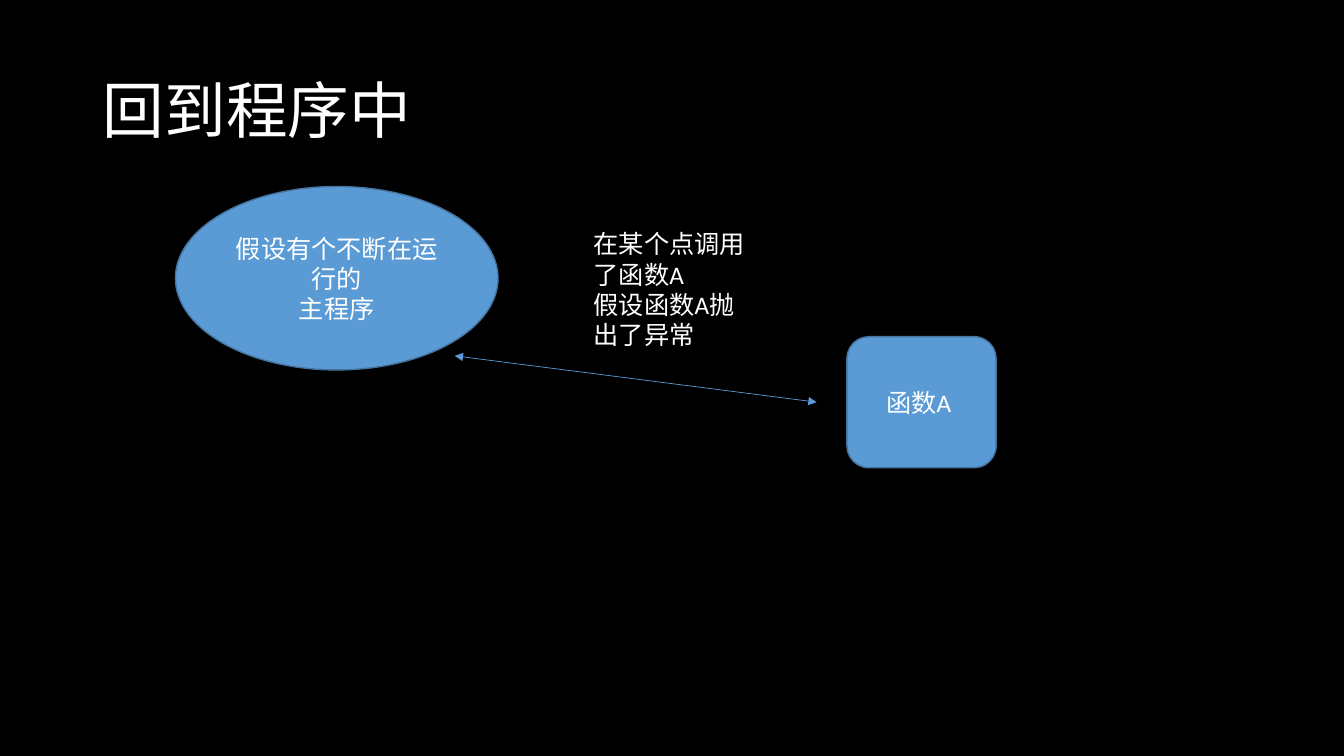
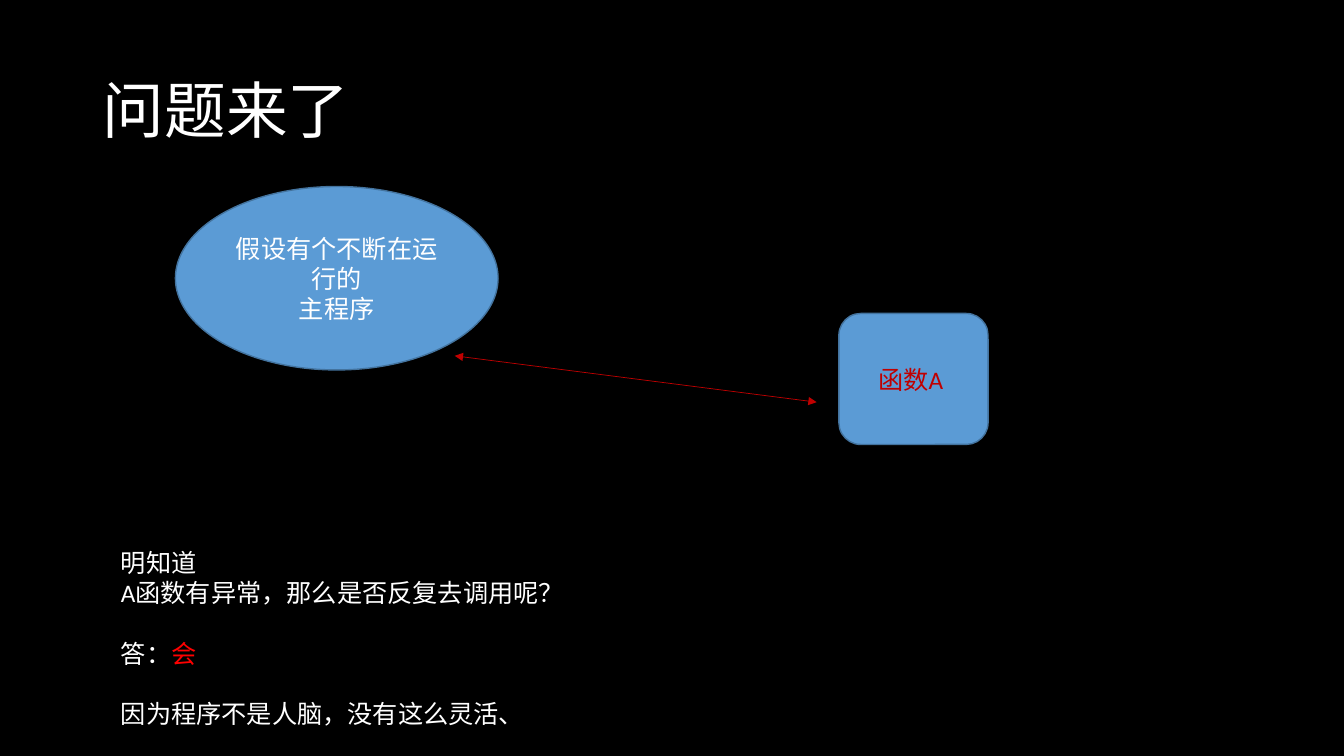
"""Build two slides about a main program calling a function that throws."""
from dataclasses import dataclass

from lxml.etree import SubElement
from pptx import Presentation
from pptx.dml.color import RGBColor
from pptx.enum.shapes import MSO_CONNECTOR as CONNECTOR, MSO_SHAPE as SHAPE
from pptx.enum.text import MSO_ANCHOR as ANCHOR, MSO_AUTO_SIZE as AUTO_SIZE, PP_ALIGN as ALIGN
from pptx.oxml.ns import qn
from pptx.util import Inches, Pt


@dataclass(frozen=True)
class Theme:
    background: RGBColor = RGBColor(0x00, 0x00, 0x00)
    text: RGBColor = RGBColor(0xFF, 0xFF, 0xFF)
    fill: RGBColor = RGBColor(0x5B, 0x9B, 0xD5)
    outline: RGBColor = RGBColor(0x43, 0x73, 0x9E)
    warning: RGBColor = RGBColor(0xC0, 0x00, 0x00)
    answer: RGBColor = RGBColor(0xFF, 0x00, 0x00)
    font: str = "Calibri"
    title_size: Pt = Pt(44)
    body_size: Pt = Pt(18)
    section_gap: Pt = Pt(21.6)


theme = Theme()


def write(shape, text, color=theme.text, size=theme.body_size, align=ALIGN.LEFT):
    shape.text_frame.word_wrap = True
    shape.text_frame.text = text
    for paragraph in shape.text_frame.paragraphs:
        paragraph.alignment = align
        for run in paragraph.runs:
            run.font.name = theme.font
            run.font.size = size
            run.font.color.rgb = color


def add_node(slide, kind, box, text, color=theme.text):
    shape = slide.shapes.add_shape(kind, *map(Inches, box))
    shape.shadow.inherit = False
    shape.fill.solid()
    shape.fill.fore_color.rgb = theme.fill
    shape.line.color.rgb = theme.outline
    shape.line.width = Pt(1)
    shape.text_frame.vertical_anchor = ANCHOR.MIDDLE
    write(shape, text, color, align=ALIGN.CENTER)


presentation = Presentation()
presentation.slide_width = Inches(13.33)
presentation.slide_height = Inches(7.5)
background = presentation.slide_master.background.fill
background.solid()
background.fore_color.rgb = theme.background
title_layout = presentation.slide_layouts.get_by_name("Title Only")

pages = [
    {
        "title": "回到程序中",
        "function_at": (8.4, 3.34),
        "function_color": theme.text,
        "arrow_color": theme.fill,
        "note_box": (5.79, 2.22, 1.77, 1.31),
        "note": "在某个点调用了函数A\n假设函数A抛出了异常",
    },
    {
        "title": "问题来了",
        "function_at": (8.32, 3.11),
        "function_color": theme.warning,
        "arrow_color": theme.warning,
        "note_box": (1.1, 5.38, 6.59, 1.92),
        "note": "明知道\nA函数有异常，那么是否反复去调用呢？\n答：\n因为程序不是人脑，没有这么灵活、",
    },
]

for page in pages:
    slide = presentation.slides.add_slide(title_layout)
    title = slide.shapes.title
    title.left, title.top, title.width, title.height = map(Inches, (0.92, 0.4, 11.5, 1.45))
    title.text_frame.vertical_anchor = ANCHOR.MIDDLE
    write(title, page["title"], size=theme.title_size)
    title.text_frame.paragraphs[0].line_spacing = 0.9

    add_node(slide, SHAPE.OVAL, (1.74, 1.85, 3.2, 1.82), "假设有个不断在运行的\n主程序")
    add_node(slide, SHAPE.ROUNDED_RECTANGLE, (*page["function_at"], 1.48, 1.3),
             "函数A ", page["function_color"])

    arrow = slide.shapes.add_connector(
        CONNECTOR.STRAIGHT, *map(Inches, (4.51, 3.53, 8.1, 3.99)))
    arrow.line.color.rgb = page["arrow_color"]
    arrow.line.width = Pt(0.5)
    line_properties = arrow.line._get_or_add_ln()
    for end in ("a:headEnd", "a:tailEnd"):
        SubElement(line_properties, qn(end), type="triangle")
    SubElement(arrow._element.spPr, qn("a:effectLst"))

    note = slide.shapes.add_textbox(*map(Inches, page["note_box"]))
    note.text_frame.auto_size = AUTO_SIZE.SHAPE_TO_FIT_TEXT
    write(note, page["note"])

answer, reason = note.text_frame.paragraphs[2:]
for paragraph in (answer, reason):
    paragraph.space_before = theme.section_gap
answer_run = answer.add_run()
answer_run.text = "会"
answer_run.font.name = theme.font
answer_run.font.size = theme.body_size
answer_run.font.color.rgb = theme.answer

presentation.save("out.pptx")
